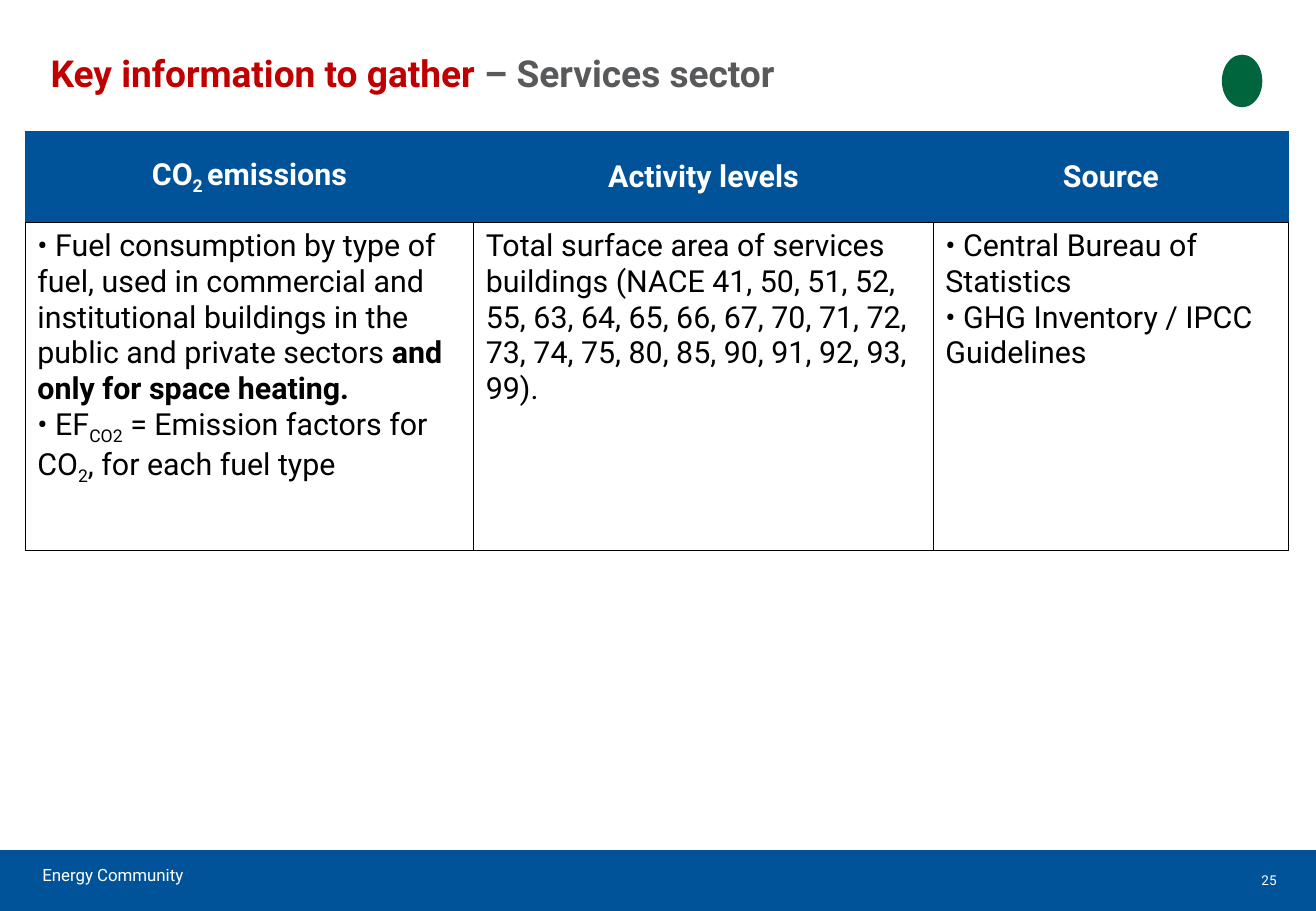
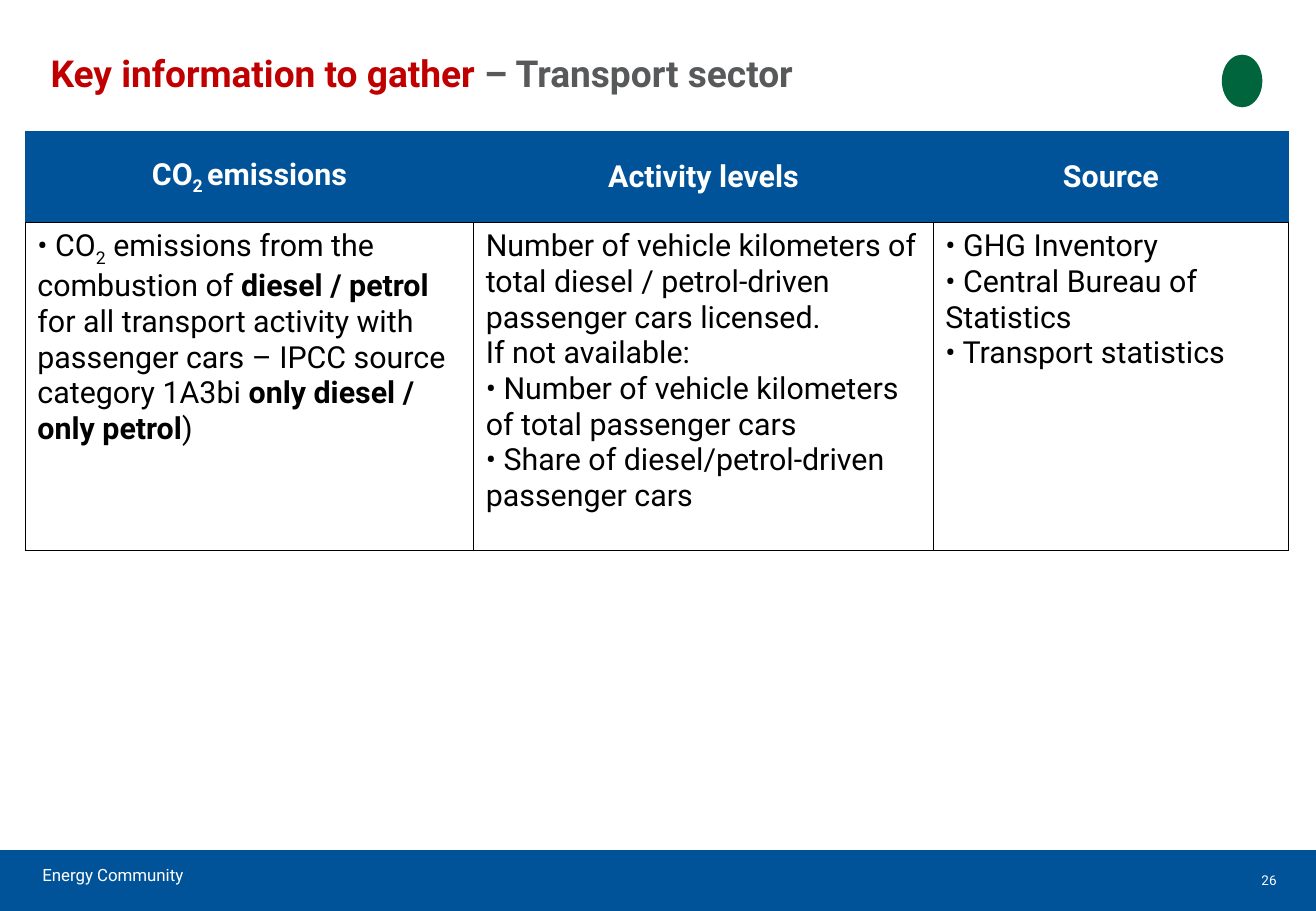
"""Build two slides listing the key information to gather for each sector."""
import lxml.etree
import pptx
import pptx.dml.color
import pptx.enum.shapes
import pptx.enum.text
import pptx.oxml.ns
import pptx.util

COLUMNS, ROWS = 130, 90
UNIT = pptx.util.Inches(1) / 12
COLORS = {
    "blue": "005398",
    "edge": "005195",
    "green": "00643D",
    "red": "C00000",
    "gray": "58595B",
    "black": "000000",
    "white": "FFFFFF",
}
STYLES = {
    "title": {"size": 22, "bold": True, "color": "red"},
    "header": {"size": 18, "bold": True, "color": "white"},
    "body": {"size": 18, "bold": False, "color": "black"},
    "footer": {"size": 10, "bold": False, "color": "white"},
    "number": {"size": 8, "bold": False, "color": "white"},
}
CENTER = pptx.enum.text.PP_ALIGN.CENTER
RIGHT = pptx.enum.text.PP_ALIGN.RIGHT
MIDDLE = pptx.enum.text.MSO_ANCHOR.MIDDLE
TOP = pptx.enum.text.MSO_ANCHOR.TOP
BOLD = {"bold": True}
SUB = {"baseline": -25}
GRAY = {"color": "gray"}

COLUMN_WIDTHS = [44.3, 45.4, 35.1]
ROW_HEIGHTS = [9, 32.4]
HEADERS = [
    [["CO", ("2 ", SUB), "emissions"]],
    ["Activity levels"],
    ["Source"],
]
SECTORS = [
    (25, "– Services sector", [
        [
            ["• Fuel consumption by type of fuel, used in commercial and "
             "institutional buildings in the public and private sectors",
             (" and only for space heating.", BOLD)],
            ["• EF", ("CO2", SUB), " = Emission factors for CO", ("2", SUB),
             ", for each fuel type"],
        ],
        ["Total surface area of services buildings (NACE 41, 50, 51, 52, 55, "
         "63, 64, 65, 66, 67, 70, 71, 72, 73, 74, 75, 80, 85, 90, 91, 92, 93, "
         "99)."],
        ["• Central Bureau of Statistics", "• GHG Inventory / IPCC Guidelines"],
    ]),
    (26, "– Transport sector", [
        [
            ["• CO", ("2", SUB), " emissions from the combustion of ",
             ("diesel / petrol ", BOLD),
             "for all transport activity with passenger cars – IPCC source "
             "category 1A3bi ",
             ("only diesel / only petrol", BOLD), ")"],
        ],
        [
            "Number of vehicle kilometers of total diesel / petrol-driven "
            "passenger cars licensed.",
            "If not available:",
            "• Number of vehicle kilometers of total passenger cars",
            "• Share of diesel/petrol-driven passenger cars",
        ],
        ["• GHG Inventory", "• Central Bureau of Statistics",
         "• Transport statistics"],
    ]),
]


def grid(*lengths):
    return [round(length * UNIT) for length in lengths]


def rgb(name):
    return pptx.dml.color.RGBColor.from_string(COLORS[name])


class Deck:
    """Hold the shared style and the slide being drawn."""

    def __init__(self):
        self.presentation = pptx.Presentation()
        size = grid(COLUMNS, ROWS)
        self.presentation.slide_width, self.presentation.slide_height = size
        self.slide = None

    def start(self, number):
        layout = self.presentation.slide_layouts[6]
        self.slide = self.presentation.slides.add_slide(layout)
        shapes = pptx.enum.shapes.MSO_SHAPE
        self.shape(shapes.RECTANGLE, "blue", 0, 84, COLUMNS, 6)
        self.shape(shapes.OVAL, "green", 120.7, 5.4, 4, 5.2)
        self.text(["Energy Community"], "footer", 3, 84.8, 65, 3.2, anchor=MIDDLE)
        self.text([str(number)], "number", 98, 84, 29.3, 6, RIGHT, MIDDLE)

    def shape(self, kind, color, *place):
        shape = self.slide.shapes.add_shape(kind, *grid(*place))
        shape.shadow.inherit = False
        shape.fill.solid()
        shape.fill.fore_color.rgb = rgb(color)
        shape.line.fill.background()

    def text(self, paragraphs, style, left, top, width, height,
             alignment=None, anchor=TOP, margin=None):
        box = self.slide.shapes.add_textbox(*grid(left, top, width, height))
        frame = box.text_frame
        values = {"word_wrap": True, "vertical_anchor": anchor}
        if margin is not None:
            for side in ("left", "right", "top", "bottom"):
                values[f"margin_{side}"] = margin
        for name, value in values.items():
            setattr(frame, name, value)
        self.paragraphs(frame, paragraphs, style, alignment)

    def paragraphs(self, frame, contents, style, alignment=None):
        for index, content in enumerate(contents):
            paragraph = frame.add_paragraph() if index else frame.paragraphs[0]
            paragraph.alignment = alignment
            for part in [content] if isinstance(content, str) else content:
                words, changes = (part, {}) if isinstance(part, str) else part
                self.run(paragraph, words, {**STYLES[style], **changes})

    def run(self, paragraph, words, style):
        run = paragraph.add_run()
        run.text = words
        values = {"name": "Roboto", "size": pptx.util.Pt(style["size"]),
                  "bold": style["bold"]}
        for name, value in values.items():
            setattr(run.font, name, value)
        run.font.color.rgb = rgb(style["color"])
        if "baseline" in style:
            properties = run._r.get_or_add_rPr()
            properties.set("baseline", str(style["baseline"] * 1000))

    def border(self, cell, side, color, points):
        name = pptx.oxml.ns.qn
        properties = cell._tc.get_or_add_tcPr()
        line = lxml.etree.SubElement(properties, name(f"a:ln{side}"))
        line.set("w", str(pptx.util.Pt(points)))
        if color is None:
            lxml.etree.SubElement(line, name("a:noFill"))
            return
        fill = lxml.etree.SubElement(line, name("a:solidFill"))
        lxml.etree.SubElement(fill, name("a:srgbClr")).set("val", COLORS[color])

    def table(self, headers, body, left, top):
        place = grid(left, top, sum(COLUMN_WIDTHS), sum(ROW_HEIGHTS))
        table = self.slide.shapes.add_table(2, len(headers), *place).table
        table.first_row = table.horz_banding = False
        for column, width in zip(table.columns, grid(*COLUMN_WIDTHS)):
            column.width = width
        for row, height in zip(table.rows, grid(*ROW_HEIGHTS)):
            row.height = height
        last = len(headers) - 1
        for index, (header, content) in enumerate(zip(headers, body)):
            edges = {
                "L": ("edge" if index == 0 else None, 0.75),
                "R": ("edge" if index == last else None, 0.75),
                "T": ("edge", 0.75),
                "B": ("black", 1),
            }
            self.cell(table.cell(0, index), header, "header", "blue", edges,
                      CENTER, MIDDLE)
            self.cell(table.cell(1, index), content, "body", "white",
                      dict.fromkeys("LRTB", ("black", 1)))

    def cell(self, cell, contents, style, color, edges,
             alignment=None, anchor=TOP):
        for side, edge in edges.items():
            self.border(cell, side, *edge)
        cell.fill.solid()
        cell.fill.fore_color.rgb = rgb(color)
        cell.vertical_anchor = anchor
        self.paragraphs(cell.text_frame, contents, style, alignment)


def main():
    deck = Deck()
    for number, sector, body in SECTORS:
        deck.start(number)
        title = ["Key information to gather ", (sector, GRAY)]
        deck.text([title], "title", 5, 5, 93, 4.7, margin=0)
        deck.table(HEADERS, body, 2.5, 13)
    deck.presentation.save("out.pptx")


if __name__ == "__main__":
    main()
